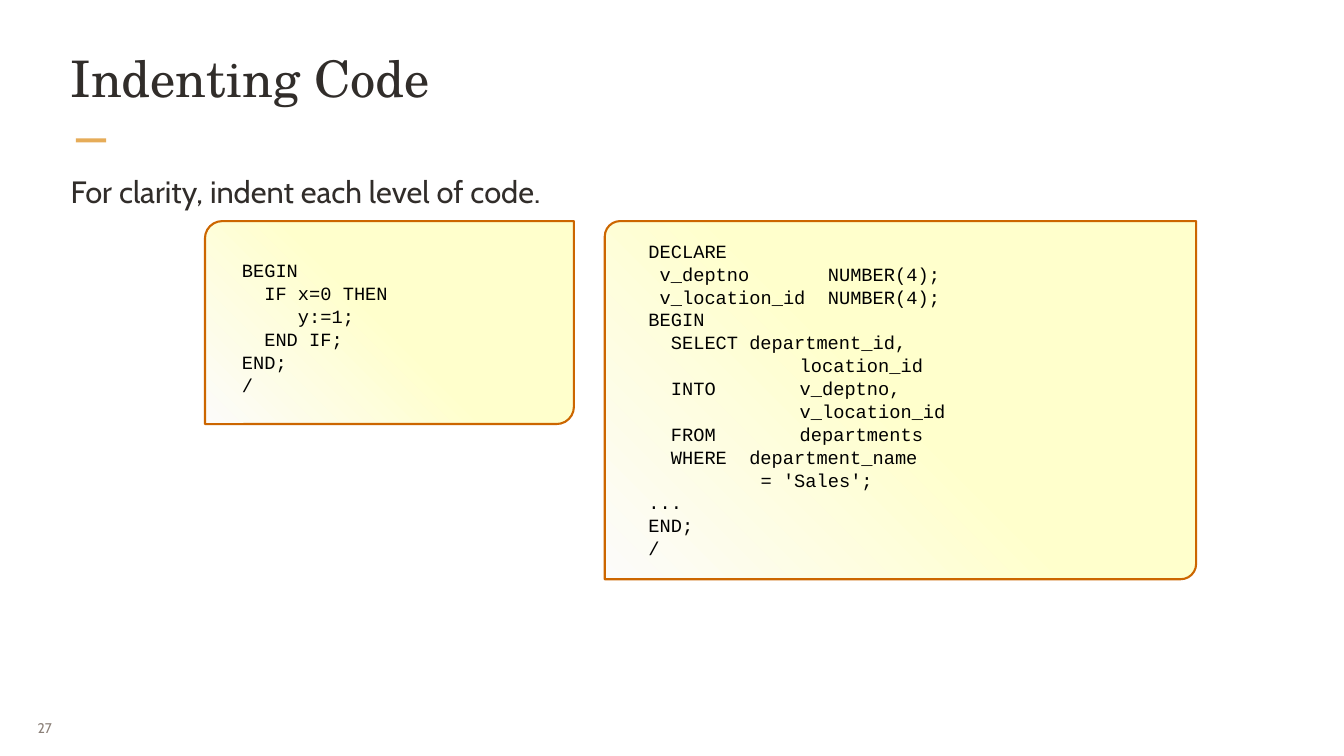
from lxml.etree import SubElement
from pptx import Presentation
from pptx.dml.color import RGBColor
from pptx.enum.shapes import MSO_SHAPE
from pptx.enum.text import MSO_ANCHOR, MSO_AUTO_SIZE
from pptx.oxml.ns import qn
from pptx.util import Inches, Pt

COLORS = {
    "ink": "312D2A", "accent": "E6AC58", "muted": "8B8078", "code": "000000",
    "panel": "FFFFCC", "panel_fade": "FCFBFA", "border": "CC6600",
}
TITLE = {"name": "TeX Gyre Schola", "size": Pt(54)}
BODY = {"name": "Cabin", "size": Pt(33)}
NUMBER = {"name": "Cabin", "size": Pt(15)}
CODE = {"name": "Courier New", "size": Pt(20)}
TAB_STEP = 0.75

SHORT_CODE = """BEGIN
  IF x=0 THEN
     y:=1;
  END IF;
END;
/"""

LONG_CODE = """DECLARE
 v_deptno       NUMBER(4);
 v_location_id  NUMBER(4);
BEGIN
  SELECT\tdepartment_id,
         \tlocation_id
  INTO\t\tv_deptno,
\t\t\tv_location_id
  FROM\t\tdepartments
  WHERE\tdepartment_name
          = 'Sales';
...
END;
/"""


def color(key):
    return RGBColor.from_string(COLORS[key])


def set_attrs(target, values):
    for name, value in values.items():
        setattr(target, name, value)


def add_text(s, box, text, font, ink, inset=(0.03, 0.03), spacing=None, **frame):
    """Add a text box with one paragraph per line and return its text frame."""
    tf = s.shapes.add_textbox(*map(Inches, box)).text_frame
    x, y = map(Inches, inset)
    set_attrs(tf, {"word_wrap": True, "margin_left": x, "margin_right": x,
                   "margin_top": y, "margin_bottom": y, **frame})
    for i, line in enumerate(text.split("\n")):
        p = tf.add_paragraph() if i else tf.paragraphs[0]
        p.line_spacing = spacing
        r = p.add_run()
        r.text = line
        set_attrs(r.font, font)
        r.font.color.rgb = color(ink)
    return tf


def add_heading(s, left, top):
    add_text(s, (left, top, 17.96, 1.28), "Indenting Code", TITLE, "ink")
    bar = s.shapes.add_shape(MSO_SHAPE.RECTANGLE, Inches(left + 0.11),
                             Inches(top + 1.39), Inches(0.45), Inches(0.06))
    bar.shadow.inherit = False
    bar.fill.solid()
    bar.fill.fore_color.rgb = color("accent")
    bar.line.fill.background()
    add_text(s, (left, top + 1.82, 7.81, 0.62),
             "For clarity, indent each level of code.", BODY, "ink", spacing=1.1,
             auto_size=MSO_AUTO_SIZE.SHAPE_TO_FIT_TEXT)


def add_code_panel(s, box, corner, text_box, code):
    """Draw a shaded panel; text_box is relative to the panel's top left."""
    panel = s.shapes.add_shape(MSO_SHAPE.ROUND_2_DIAG_RECTANGLE, *map(Inches, box))
    panel.shadow.inherit = False
    panel.adjustments[0] = corner
    panel.adjustments[1] = 0
    panel.fill.gradient()
    panel.fill.gradient_angle = 225
    stops = zip(panel.fill.gradient_stops, (0.5, 1), ("panel", "panel_fade"))
    for stop, position, key in stops:
        stop.position = position
        stop.color.rgb = color(key)
    panel.line.color.rgb = color("border")
    panel.line.width = Pt(2.25)

    dx, dy, width, height = text_box
    tf = add_text(s, (box[0] + dx, box[1] + dy, width, height), code, CODE, "code",
                  inset=(0.15, 0.08), spacing=0.65,
                  auto_size=MSO_AUTO_SIZE.SHAPE_TO_FIT_TEXT)
    for i, p in enumerate(tf.paragraphs):
        if i:
            p.space_before = Pt(8.9)
        if "\t" in p.text:
            tabs = SubElement(p._p.get_or_add_pPr(), qn("a:tabLst"))
            for n in (1, 2, 3):
                SubElement(tabs, qn("a:tab"), pos=str(Inches(n * TAB_STEP)), algn="l")


def add_page_number(s, box, number):
    add_text(s, box, number, NUMBER, "muted", inset=(0.13, 0.07),
             word_wrap=False, vertical_anchor=MSO_ANCHOR.MIDDLE)


def main():
    prs = Presentation()
    prs.slide_width, prs.slide_height = Inches(20), Inches(11.25)
    s = prs.slides.add_slide(prs.slide_layouts[6])
    add_heading(s, 1.02, 0.67)
    add_code_panel(s, (9, 3.29, 8.8, 5.33), 0.043, (0.5, 0.3, 5.92, 5), LONG_CODE)
    add_code_panel(s, (3.05, 3.29, 5.49, 3.02), 0.085, (0.4, 0.59, 4.4, 2.17), SHORT_CODE)
    add_page_number(s, (0.43, 10.54, 0.65, 0.58), "27")
    prs.save("out.pptx")


if __name__ == "__main__":
    main()
